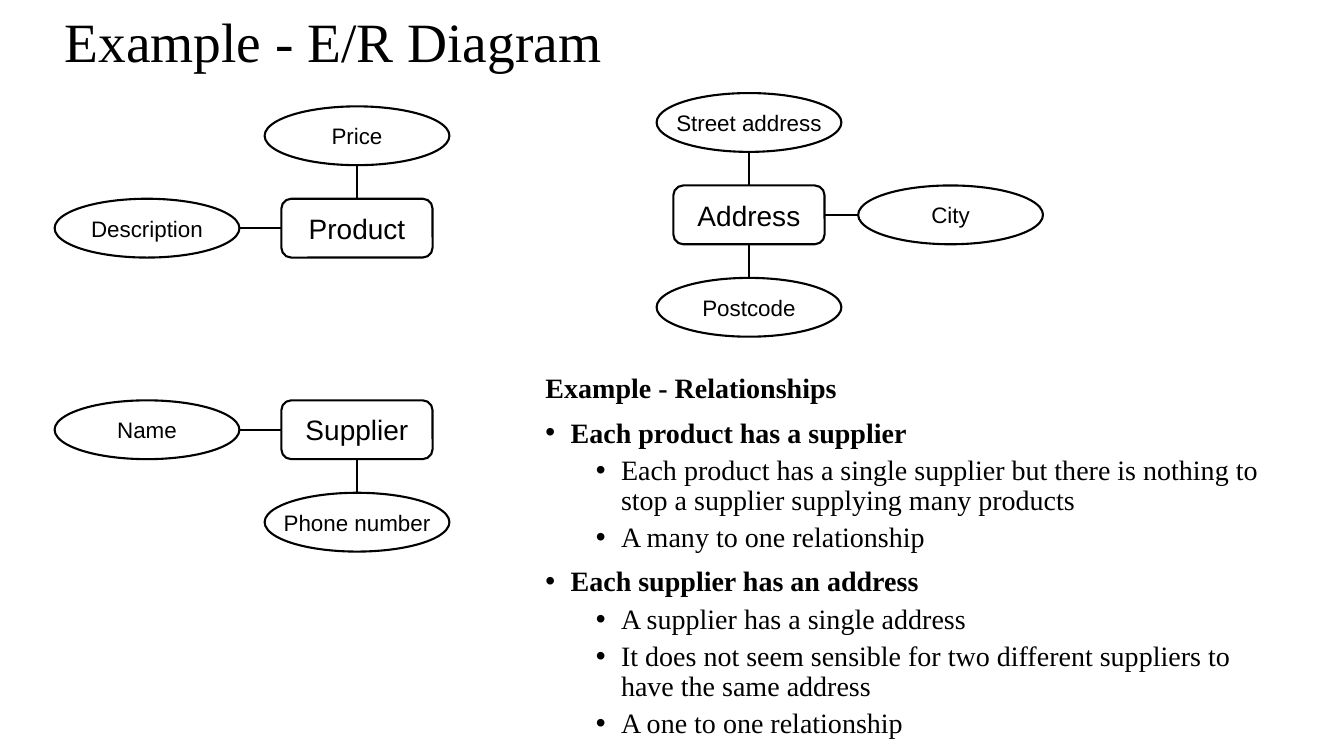
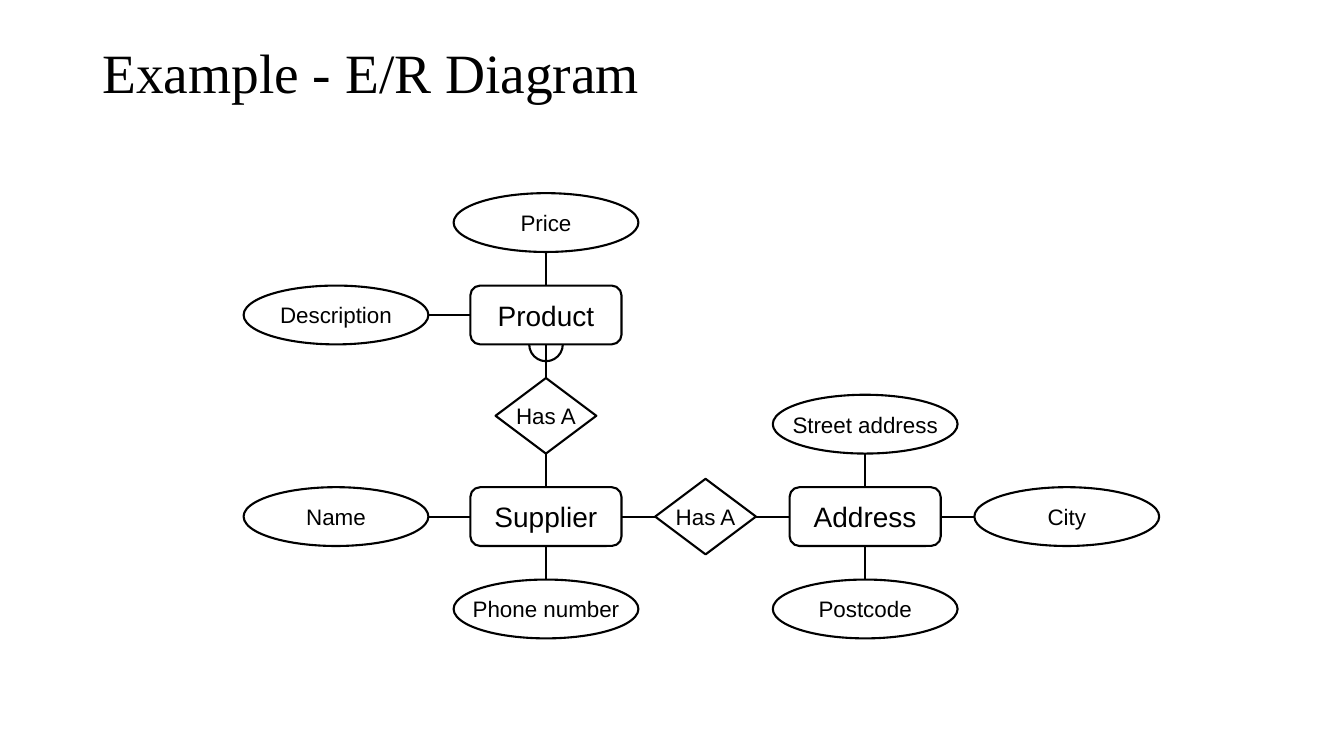
import pptx
import pptx.dml.color
import pptx.enum.shapes
import pptx.enum.text
import pptx.oxml
import pptx.oxml.ns
import pptx.util
from lxml import etree

Pt = pptx.util.Pt
MSO = pptx.enum.shapes.MSO_SHAPE
ALIGN = pptx.enum.text.PP_ALIGN
ANCHOR = pptx.enum.text.MSO_ANCHOR
qn = pptx.oxml.ns.qn

# Content: centres of the parts in points
TITLE = "Example - E/R Diagram"
ATTRIBUTES = {
    "Product": {"top": "Price", "left": "Description"},
    "Supplier": {"left": "Name", "bottom": "Phone number"},
    "Address": {"top": "Street address", "right": "City", "bottom": "Postcode"},
}
SLIDES = [
    {
        "title": (39, 13, 828, 37),
        "entities": {"Product": (255, 163), "Supplier": (255, 307), "Address": (535, 153.5)},
        "relationships": [],
    },
    {
        "title": (66, 29, 828, 50),
        "entities": {"Product": (390, 225), "Supplier": (390, 369), "Address": (618, 369)},
        # from, side, to, side, "many" end at the first entity
        "relationships": [
            ("Product", "bottom", "Supplier", "top", True),
            ("Supplier", "right", "Address", "left", False),
        ],
    },
]
NOTES_BOX = (382.5, 264, 544, 264)
NOTES = [  # level (None is the heading), text
    (None, "Example - Relationships"),
    (0, "Each product has a supplier"),
    (1, "Each product has a single supplier but there is nothing to stop a supplier supplying many products"),
    (1, "A many to one relationship"),
    (0, "Each supplier has an address"),
    (1, "A supplier has a single address"),
    (1, "It does not seem sensible for two different suppliers to have the same address"),
    (1, "A one to one relationship"),
]

# Style
COLORS = {"ink": "000000", "paper": "FFFFFF"}
SERIF, SANS = "Times New Roman", "Arial"
ENTITY, ATTRIBUTE, RELATION = (108, 42), (132, 42), (72, 54)
MANY_RADIUS = 12
OFFSETS = {"top": (0, -66), "left": (-150, 0), "bottom": (0, 66), "right": (144, 0)}
DIRECTIONS = {"top": (0, -1), "left": (-1, 0), "bottom": (0, 1), "right": (1, 0)}
SITES = {"top": 0, "left": 1, "bottom": 2, "right": 3}
OPPOSITE = {"top": "bottom", "bottom": "top", "left": "right", "right": "left"}


def rgb(name):
    return pptx.dml.color.RGBColor.from_string(COLORS[name])


def add_run(p, text, font, size, bold=False):
    r = p.add_run()
    r.text = text
    r.font.name, r.font.size, r.font.bold = font, Pt(size), bold
    r.font.color.rgb = rgb("ink")


def outline(sp):
    sp.line.color.rgb = rgb("ink")
    sp.line.width = Pt(1.5)


def add_node(slide, kind, center, size, text="", font_size=16):
    (x, y), (w, h) = center, size
    sp = slide.shapes.add_shape(kind, Pt(x - w / 2), Pt(y - h / 2), Pt(w), Pt(h))
    sp.shadow.inherit = False
    sp.fill.background()
    outline(sp)
    if text:
        tf = sp.text_frame
        tf.word_wrap = False
        tf.vertical_anchor = ANCHOR.MIDDLE
        p = tf.paragraphs[0]
        p.alignment = ALIGN.CENTER
        add_run(p, text, SANS, font_size)
    return sp


def side_point(center, size, side):
    return tuple(c + d * s / 2 for c, d, s in zip(center, DIRECTIONS[side], size))


def add_link(slide, start, end, begin_shape, begin_side, end_shape=None, end_side=None):
    points = [Pt(v) for v in (*start, *end)]
    line = slide.shapes.add_connector(pptx.enum.shapes.MSO_CONNECTOR.STRAIGHT, *points)
    line.begin_connect(begin_shape, SITES[begin_side])
    if end_shape is not None:
        line.end_connect(end_shape, SITES[end_side])
    outline(line)
    etree.SubElement(line._element.spPr, qn("a:effectLst"))


def add_text_box(slide, box):
    tf = slide.shapes.add_textbox(*(Pt(v) for v in box)).text_frame
    tf.word_wrap = True
    return tf


def add_title(slide, box):
    tf = add_text_box(slide, box)
    tf.margin_top = tf.margin_bottom = 0
    tf.vertical_anchor = ANCHOR.MIDDLE
    p = tf.paragraphs[0]
    p.line_spacing = 0.9
    add_run(p, TITLE, SERIF, 39.6)


def add_diagram(slide, entities, relationships):
    shapes = {}
    for name, center in entities.items():
        shapes[name] = add_node(slide, MSO.ROUNDED_RECTANGLE, center, ENTITY, name, 20)
        # Attributes around the entity
        for side, text in ATTRIBUTES[name].items():
            spot = tuple(c + o for c, o in zip(center, OFFSETS[side]))
            add_node(slide, MSO.OVAL, spot, ATTRIBUTE, text)
            add_link(slide, side_point(center, ENTITY, side),
                     side_point(spot, ATTRIBUTE, OPPOSITE[side]), shapes[name], side)

    # Diamonds halfway between two entities
    for first, first_side, second, second_side, many in relationships:
        middle = tuple((a + b) / 2 for a, b in zip(entities[first], entities[second]))
        diamond = add_node(slide, MSO.DIAMOND, middle, RELATION, "Has A")
        for name, side in ((first, first_side), (second, second_side)):
            back = OPPOSITE[side]
            add_link(slide, side_point(entities[name], ENTITY, side),
                     side_point(middle, RELATION, back), shapes[name], side, diamond, back)
        if many:
            arc = add_node(slide, MSO.ARC, side_point(entities[first], ENTITY, first_side),
                           (2 * MANY_RADIUS, 2 * MANY_RADIUS))
            arc.adjustments[0] = 0
            arc.adjustments[1] = 108  # half a turn: 180 * 60000 / 100000


def add_notes(slide):
    tf = add_text_box(slide, NOTES_BOX)
    for i, (level, text) in enumerate(NOTES):
        p = tf.paragraphs[0] if i == 0 else tf.add_paragraph()
        p.line_spacing = 0.9
        if level is not None:
            p.level = level
            p.space_before = Pt(5 if level else 10)
            pPr = p._p.get_or_add_pPr()
            pPr.set("marL", str(Pt(54 if level else 18)))
            pPr.set("indent", str(-Pt(18)))
            etree.SubElement(pPr, qn("a:buFont")).set("typeface", SANS)
            etree.SubElement(pPr, qn("a:buChar")).set("char", "•")
        add_run(p, text, SERIF, 20, bold=level != 1)


def main():
    prs = pptx.Presentation()
    prs.slide_width, prs.slide_height = Pt(960), Pt(540)
    for content in SLIDES:
        slide = prs.slides.add_slide(prs.slide_layouts[6])
        slide.background.fill.solid()
        slide.background.fill.fore_color.rgb = rgb("paper")
        add_title(slide, content["title"])
        add_diagram(slide, content["entities"], content["relationships"])
    add_notes(prs.slides[0])
    prs.save("out.pptx")


if __name__ == "__main__":
    main()
